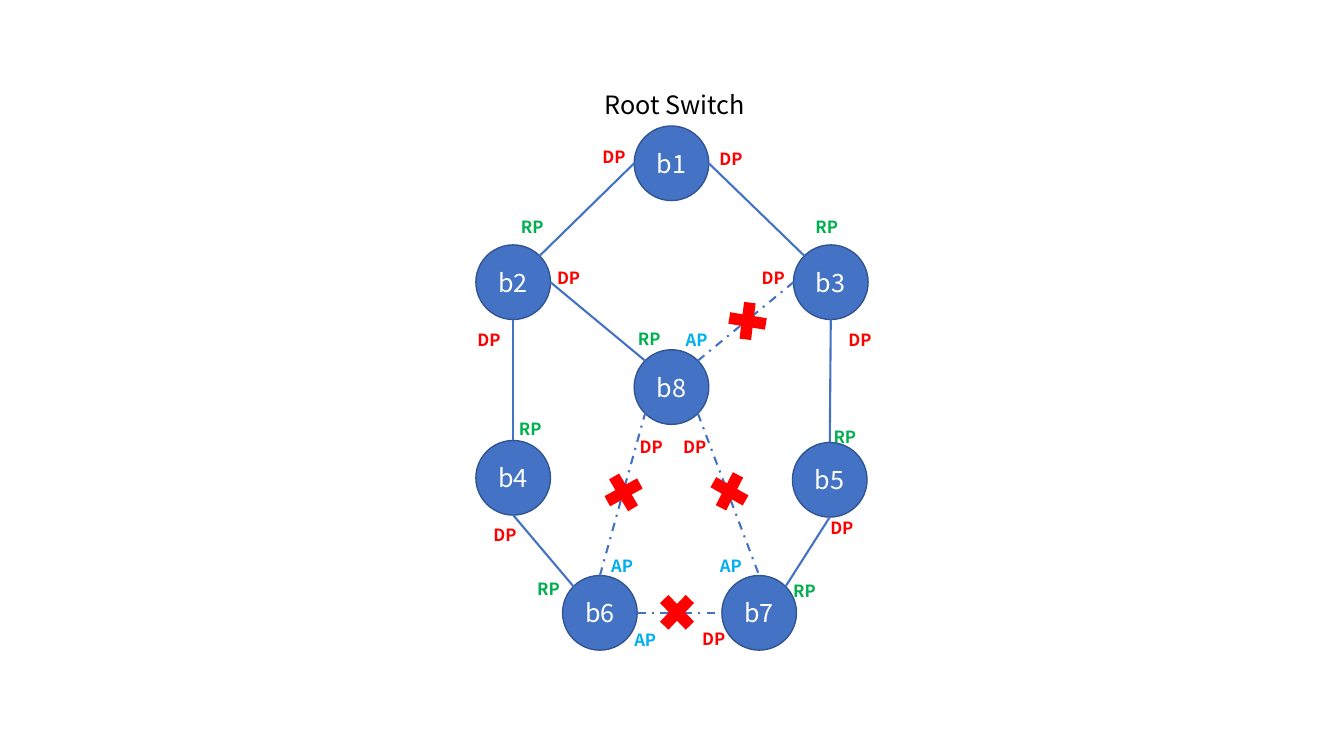
"""Build a slide of a spanning tree with port roles and blocked links."""
from math import cos, radians, sin

from lxml.etree import SubElement
from pptx import Presentation
from pptx.dml.color import RGBColor
from pptx.enum.dml import MSO_LINE
from pptx.enum.shapes import MSO_CONNECTOR, MSO_SHAPE
from pptx.enum.text import MSO_ANCHOR, MSO_AUTO_SIZE, PP_ALIGN
from pptx.oxml.ns import qn
from pptx.util import Pt

PX = 9144
FONT = "Noto Sans CJK SC"
DIAMETER = 74
BLUE, EDGE, RED, WHITE, BLACK = "4472C4", "325491", "FF0000", "FFFFFF", "000000"

SWITCHES = {
    "b1": (629, 125), "b2": (472, 243), "b3": (787, 243), "b4": (472, 437),
    "b5": (786, 439), "b6": (558, 571), "b7": (716, 571), "b8": (629, 347),
}
ANGLES = {"right": 0, "bottom right": 45, "bottom": 90, "bottom left": 135,
          "left": 180, "top left": 225, "top": 270, "top right": 315}
ACTIVE_LINKS = [
    ("b2", "top right", "b1", "left"),
    ("b3", "top left", "b1", "right"),
    ("b2", "bottom", "b4", "top"),
    ("b3", "bottom", "b5", "top"),
    ("b4", "bottom", "b6", "top left"),
    ("b5", "bottom", "b7", "top right"),
    ("b2", "right", "b8", "top left"),
]
BLOCKED_LINKS = [
    ("b8", "top right", "b3", "left"),
    ("b6", "right", "b7", "left"),
    ("b6", "top", "b8", "bottom left"),
    ("b8", "bottom right", "b7", "top"),
]
ROLE_COLORS = {"RP": "00B050", "DP": RED, "AP": "00B0F0"}
PORTS = {
    "RP": [(495, 210), (787, 210), (611, 321), (493, 411), (511, 569),
           (765, 571), (805, 418)],
    "DP": [(452, 322), (468, 516), (531, 261), (734, 261), (820, 322),
           (802, 509), (675, 619), (613, 428), (656, 428), (576, 141),
           (692, 143)],
    "AP": [(658, 322), (584, 546), (607, 620), (692, 546)],
}
CROSSES = [(716, 294, 53.2), (646, 583, 90), (593, 464, 15.3), (698, 463, 73.4)]


def color(value):
    """Return the colour of a hex string."""
    return RGBColor.from_string(value)


def emu(*lengths):
    """Turn pixel lengths into EMU."""
    return [round(length * PX) for length in lengths]


def write(box, text, size, value, align, bold=False):
    """Write one formatted line of text into a shape."""
    para = box.text_frame.paragraphs[0]
    para.alignment = align
    span = para.add_run()
    span.text = text
    for name, setting in {"name": FONT, "size": Pt(size), "bold": bold}.items():
        setattr(span.font, name, setting)
    span.font.color.rgb = color(value)


def add_label(page, area, text, size, value, align, bold=False):
    """Add a text box that grows with its text."""
    box = page.shapes.add_textbox(*emu(*area))
    settings = {"word_wrap": True, "auto_size": MSO_AUTO_SIZE.SHAPE_TO_FIT_TEXT}
    for name, setting in settings.items():
        setattr(box.text_frame, name, setting)
    write(box, text, size, value, align, bold)


def add_filled(page, kind, area, fill):
    """Add a preset shape with a plain fill and no shadow."""
    shape = page.shapes.add_shape(kind, *emu(*area))
    shape.shadow.inherit = False
    shape.fill.solid()
    shape.fill.fore_color.rgb = color(fill)
    return shape


def add_switch(page, name, left, top):
    """Add a switch as a named circle."""
    circle = add_filled(page, MSO_SHAPE.OVAL, (left, top, DIAMETER, DIAMETER), BLUE)
    circle.line.color.rgb = color(EDGE)
    circle.line.width = Pt(1)
    circle.text_frame.vertical_anchor = MSO_ANCHOR.MIDDLE
    write(circle, name, 18, WHITE, PP_ALIGN.CENTER)


def rim_point(name, side):
    """Return the point on the rim of a switch at a given side."""
    left, top = SWITCHES[name]
    angle, radius = radians(ANGLES[side]), DIAMETER / 2
    return left + radius * (1 + cos(angle)), top + radius * (1 + sin(angle))


def add_link(page, start, start_side, end, end_side, dash):
    """Add a straight link between the rims of two switches."""
    points = rim_point(start, start_side) + rim_point(end, end_side)
    link = page.shapes.add_connector(MSO_CONNECTOR.STRAIGHT, *emu(*points))
    link.line.color.rgb = color(BLUE)
    for name, setting in {"width": Pt(1.5), "dash_style": dash}.items():
        setattr(link.line, name, setting)
    SubElement(link._element.spPr, qn("a:effectLst"))


def add_cross(page, left, top, rotation):
    """Add a red cross over a blocked link."""
    cross = add_filled(page, MSO_SHAPE.MATH_MULTIPLY, (left, top, 51, 49), RED)
    cross.line.fill.background()
    cross.rotation = rotation


def main():
    """Build and save the deck."""
    deck = Presentation()
    deck.slide_width, deck.slide_height = emu(1333, 750)
    page = deck.slides.add_slide(deck.slide_layouts[6])
    for name, corner in SWITCHES.items():
        add_switch(page, name, *corner)
    for links, dash in ((ACTIVE_LINKS, None), (BLOCKED_LINKS, MSO_LINE.DASH_DOT)):
        for link in links:
            add_link(page, *link, dash)
    for role, corners in PORTS.items():
        for corner in corners:
            add_label(page, (*corner, 66, 30), role, 12, ROLE_COLORS[role],
                      PP_ALIGN.CENTER, True)
    for cross in CROSSES:
        add_cross(page, *cross)
    add_label(page, (590, 84, 163, 40), "Root Switch", 18, BLACK, PP_ALIGN.LEFT)
    deck.save("out.pptx")


if __name__ == "__main__":
    main()
